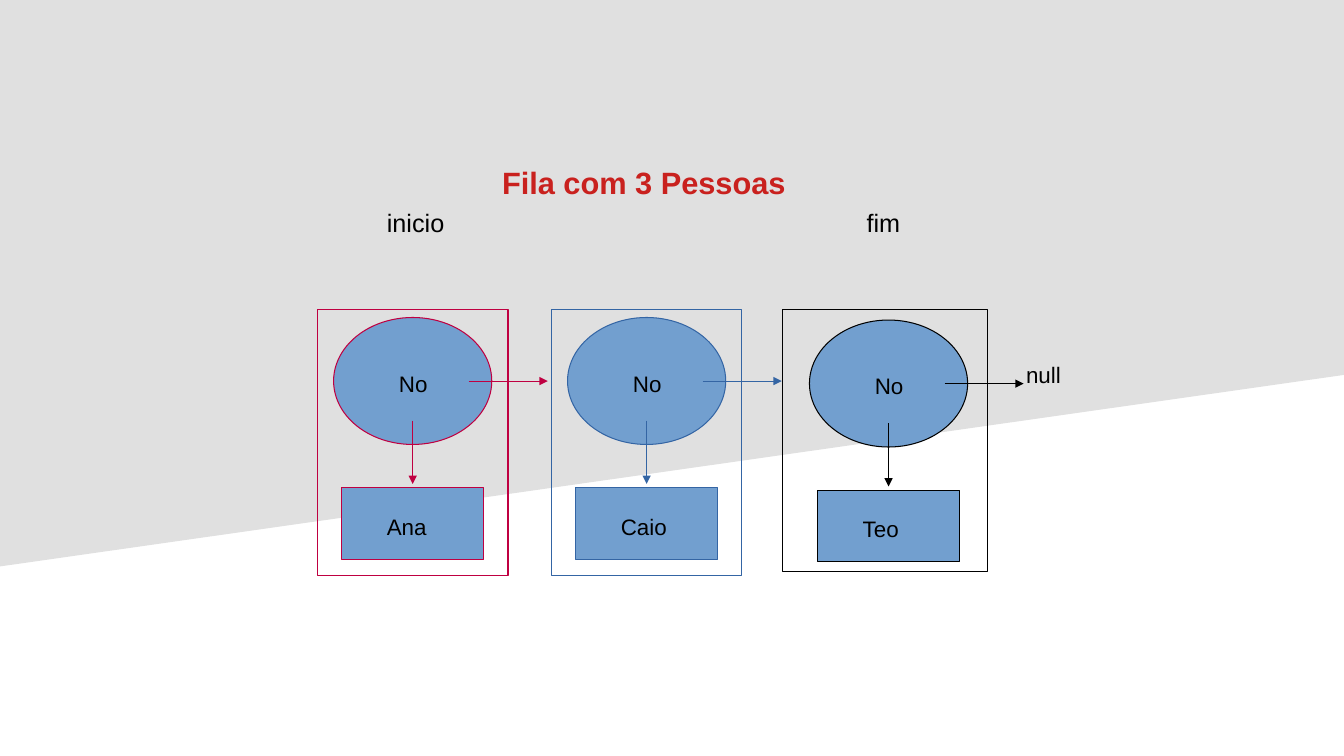
"""Build a slide showing a linked queue of three people."""
import pptx
import pptx.util
import pptx.dml.color
import pptx.enum.shapes
import pptx.enum.text
import pptx.oxml

Pt = pptx.util.Pt
RGBColor = pptx.dml.color.RGBColor
SHAPES = pptx.enum.shapes.MSO_SHAPE

BLACK = RGBColor(0x00, 0x00, 0x00)
WHITE = RGBColor(0xFF, 0xFF, 0xFF)
GRAY = RGBColor(0xE0, 0xE0, 0xE0)
RED = RGBColor(0xC9, 0x21, 0x1E)
CRIMSON = RGBColor(0xBF, 0x00, 0x41)
BLUE = RGBColor(0x34, 0x65, 0xA4)
LIGHT_BLUE = RGBColor(0x72, 0x9F, 0xCF)
DRAWING_NAMESPACE = "http://schemas.openxmlformats.org/drawingml/2006/main"


def write_text(shape, text, size, color, bold=False):
    text_frame = shape.text_frame
    text_frame.word_wrap = True
    text_frame.auto_size = pptx.enum.text.MSO_AUTO_SIZE.NONE
    text_frame.vertical_anchor = pptx.enum.text.MSO_ANCHOR.TOP
    paragraph = text_frame.paragraphs[0]
    paragraph.alignment = pptx.enum.text.PP_ALIGN.LEFT
    paragraph.line_spacing = 1.0
    paragraph.space_before = Pt(0)
    run = paragraph.add_run()
    run.text = text
    run.font.name = "Arial"
    run.font.size = Pt(size)
    run.font.bold = bold
    run.font.color.rgb = color


def add_outlined(shapes, kind, left, top, width, height, color, fill=None):
    shape = shapes.add_shape(kind, Pt(left), Pt(top), Pt(width), Pt(height))
    shape.shadow.inherit = False
    if fill is None:
        shape.fill.background()
    else:
        shape.fill.solid()
        shape.fill.fore_color.rgb = fill
    shape.line.color.rgb = color
    shape.line.width = Pt(0.75)


presentation = pptx.Presentation()
presentation.slide_width = Pt(960)
presentation.slide_height = Pt(540)
slide = presentation.slides.add_slide(presentation.slide_layouts[5])
slide.background.fill.solid()
slide.background.fill.fore_color.rgb = WHITE

title = slide.shapes.title
title.left, title.top, title.width, title.height = Pt(351.4), Pt(113), Pt(238.3), Pt(31.7)
write_text(title, "Fila com 3 Pessoas", 22, RED, bold=True)

builder = slide.shapes.build_freeform(Pt(0), Pt(404.6))
builder.add_line_segments([(Pt(0), Pt(0)), (Pt(960), Pt(0)), (Pt(960), Pt(267.8))])
backdrop = builder.convert_to_shape()
backdrop.shadow.inherit = False
backdrop.fill.solid()
backdrop.fill.fore_color.rgb = GRAY
backdrop.line.fill.background()
title.element.addprevious(backdrop.element)

labels = [
    ("inicio", 269.3, 144.7, 64.8, 18),
    ("fim", 612, 144.7, 48.2, 18),
    ("null", 725.8, 254.2, 41.8, 16),
]
nodes = [
    ("Ana", CRIMSON, 238.3, 226.8, (226.8, 136.1, 190.1)),
    ("Caio", BLUE, 405.4, 226.8, (393.8, 136.1, 190.1)),
    ("Teo", BLACK, 578.2, 228.6, (558.7, 146.9, 187.2)),
]
for name, color, left, top, (frame_left, frame_width, frame_height) in nodes:
    add_outlined(slide.shapes, SHAPES.OVAL, left, top, 113, 90.7, color, LIGHT_BLUE)
    add_outlined(slide.shapes, SHAPES.RECTANGLE, left + 5.7, top + 121.7, 101.5, 51.1, color, LIGHT_BLUE)
    add_outlined(slide.shapes, SHAPES.RECTANGLE, frame_left, 221, frame_width, frame_height, color)

    next_arrow = (left + 96.5, top + 45.4, left + 153, top + 45.4)
    value_arrow = (left + 56.5, top + 73.6, left + 56.5, top + 118.9)
    for ends in (next_arrow, value_arrow):
        connector = slide.shapes.add_connector(
            pptx.enum.shapes.MSO_CONNECTOR.STRAIGHT, *[Pt(end) for end in ends])
        connector.line.color.rgb = color
        connector.line.width = Pt(0.75)
        connector.line._get_or_add_ln().append(pptx.oxml.parse_xml(
            f'<a:tailEnd xmlns:a="{DRAWING_NAMESPACE}" type="triangle"/>'))
        connector.element.spPr.append(pptx.oxml.parse_xml(
            f'<a:effectLst xmlns:a="{DRAWING_NAMESPACE}"/>'))

    labels.append(("No", left + 39.6, top + 34, 36.7, 16))
    labels.append((name, left + 31, top + 136.1, 64.8, 16))

for text, left, top, width, size in labels:
    text_box = slide.shapes.add_textbox(Pt(left), Pt(top), Pt(width), Pt(27.4))
    write_text(text_box, text, size, BLACK)

presentation.save("out.pptx")
